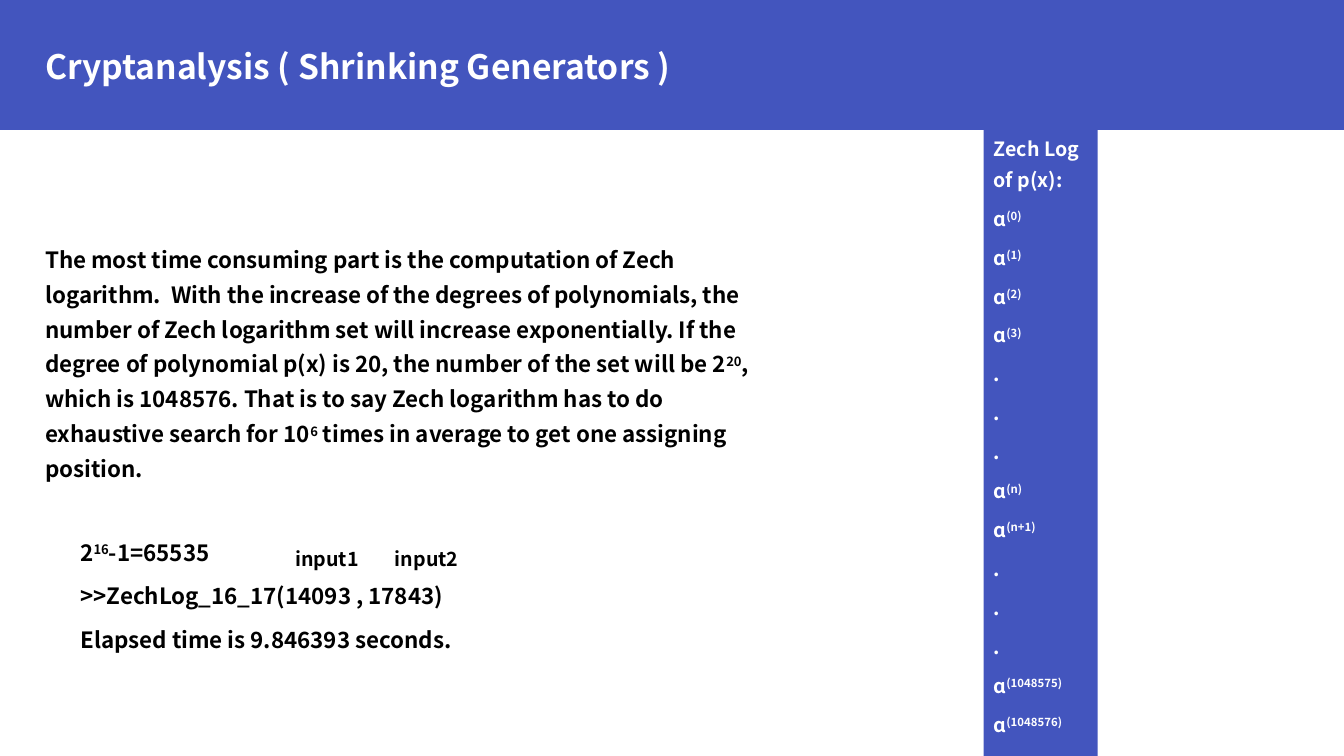
from pptx import Presentation
from pptx.dml.color import RGBColor
from pptx.enum.shapes import MSO_SHAPE as Shape
from pptx.enum.text import MSO_ANCHOR as Anchor, PP_ALIGN as Align
from pptx.util import Pt

BLUE = RGBColor(0x43, 0x55, 0xBE)
WHITE = RGBColor(0xFF, 0xFF, 0xFF)
BLACK = RGBColor(0x00, 0x00, 0x00)
FONT = "Noto Sans CJK SC"
WIDTH, HEIGHT = 960, 540
HEADER_HEIGHT = 93

# Text between bars is superscript.
TITLE = ["Cryptanalysis ( Shrinking Generators )"]
EXPLANATION = [
    "The most time consuming part is the computation of Zech logarithm.  With the "
    "increase of the degrees of polynomials, the number of Zech logarithm set will "
    "increase exponentially. If the degree of polynomial p(x) is 20, the number of "
    "the set will be 2|20|, which is 1048576. That is to say Zech logarithm has to do "
    "exhaustive search for 10|6| times in average to get one assigning position."
]
DOTS = ["."] * 3
ZECH_LOGS = [
    "Zech Log of p(x):",
    "ɑ|(0)|", "ɑ|(1)|", "ɑ|(2)|", "ɑ|(3)|",
    *DOTS,
    "ɑ|(n)|", "ɑ|(n+1)|",
    *DOTS,
    "ɑ|(1048575)|", "ɑ|(1048576)|",
]
TIMING = [
    "2|16|-1=65535",
    ">>ZechLog_16_17(14093 , 17843)",
    "Elapsed time is 9.846393 seconds.",
]
INPUTS = [("input1", 203.8, 76.3), ("input2", 275, 62.6)]


def add_block(page, left, top, width, height, fill=None):
    block = page.shapes.add_shape(
        Shape.RECTANGLE, Pt(left), Pt(top), Pt(width), Pt(height))
    block.shadow.inherit = False
    block.line.fill.background()
    if fill is None:
        block.fill.background()
    else:
        block.fill.solid()
        block.fill.fore_color.rgb = fill
    return block


def write(block, lines, size=16, color=BLACK, spacing=1.3, before=6, anchor=Anchor.TOP):
    frame = block.text_frame
    frame.word_wrap = True
    frame.vertical_anchor = anchor
    for index, line in enumerate(lines):
        para = frame.add_paragraph() if index else frame.paragraphs[0]
        para.alignment = Align.LEFT
        para.line_spacing = spacing
        para.space_before = Pt(before)
        for position, piece in enumerate(line.split("|")):
            if not piece:
                continue
            span = para.add_run()
            span.text = piece
            span.font.name = FONT
            span.font.size = Pt(size)
            span.font.bold = True
            span.font.color.rgb = color
            if position % 2:
                span.font._element.set("baseline", "30000")


def add_text(page, left, top, width, height, lines, **style):
    box = page.shapes.add_textbox(Pt(left), Pt(top), Pt(width), Pt(height))
    write(box, lines, **style)


def main():
    deck = Presentation()
    deck.slide_width, deck.slide_height = Pt(WIDTH), Pt(HEIGHT)
    page = deck.slides.add_slide(deck.slide_layouts[6])
    page.background.fill.solid()
    page.background.fill.fore_color.rgb = BLUE

    add_block(page, 0, HEADER_HEIGHT, WIDTH, HEIGHT - HEADER_HEIGHT, WHITE)
    add_text(page, 25.2, 20.2, 531.4, 56.9, TITLE, size=24, color=WHITE,
             spacing=0.9, before=10, anchor=Anchor.MIDDLE)
    add_text(page, 25.2, 166.3, 537.1, 183.6, EXPLANATION, before=0)

    column = add_block(page, 702.7, 89.3, 81.4, 465.8, BLUE)
    write(column, ZECH_LOGS, size=14, color=WHITE)

    add_text(page, 50.4, 375.8, 383.8, 95, TIMING)
    for label, left, width in INPUTS:
        write(add_block(page, left, 382.3, width, 27.4, WHITE), [label], size=14)

    deck.save("out.pptx")


if __name__ == "__main__":
    main()
